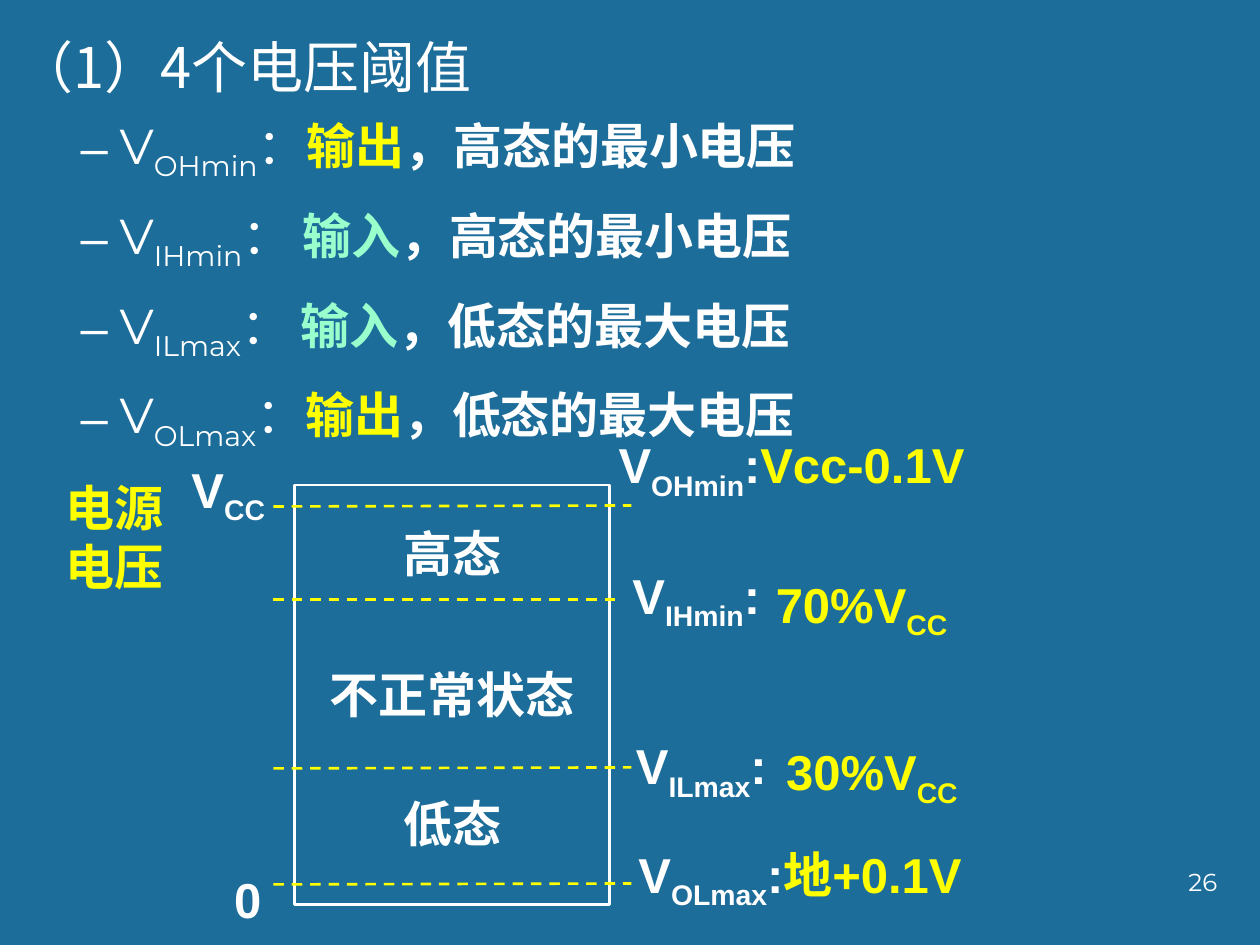
from lxml import etree
from pptx import Presentation
from pptx.dml.color import RGBColor
from pptx.enum import dml, shapes, text
from pptx.oxml import ns
from pptx.util import Cm, Pt

COLORS = {"back": "1C6D9A", "white": "FFFFFF", "yellow": "FFFF00", "mint": "99FFCC"}

THRESHOLDS = [
    ("OHmin", "：", "输出", "yellow", "，高态的最小电压"),
    ("IHmin", "： ", "输入", "mint", "，高态的最小电压"),
    ("ILmax", "： ", "输入", "mint", "，低态的最大电压"),
    ("OLmax", "：", "输出", "yellow", "，低态的最大电压"),
]

STATES = [("高态", 0), ("不正常状态", 46.6), ("低态", 39.7)]

LEVELS = [
    (10.21, 10.19, 12.73),
    (12.09, 12.09, 12.5),
    (15.49, 15.47, 12.73),
    (17.83, 17.81, 12.73),
]

LABELS = [
    (3.61, 9.14, 2.97, "white", "V", "CC", "", ""),
    (4.47, 17.4, 1.27, "white", "0", "", "", ""),
    (12.22, 8.64, 9.6, "white", "V", "OHmin", ":", "Vcc-0.1V"),
    (12.5, 11.28, 3.35, "white", "V", "IHmin", ":", ""),
    (12.57, 14.71, 3.43, "white", "V", "ILmax", ":", ""),
    (12.62, 16.89, 8.15, "white", "V", "OLmax", ":", "地+0.1V"),
    (15.39, 11.46, 5.92, "yellow", "70%V", "CC", "", ""),
    (15.6, 14.83, 6.15, "yellow", "30%V", "CC", "", ""),
]


def rgb(name):
    return RGBColor.from_string(COLORS[name])


def style(paragraph, face, size, color="white", bold=False):
    font = paragraph.font
    font.name, font.size, font.bold = face, Pt(size), bold
    font.color.rgb = rgb(color)


def add_run(paragraph, words, color=None, bold=None, subscript=False):
    run = paragraph.add_run()
    run.text = words
    if color:
        run.font.color.rgb = rgb(color)
    if bold is not None:
        run.font.bold = bold
    if subscript:
        run.font._element.set("baseline", "-25000")


def place(placeholder, left, top, width, height):
    placeholder.left, placeholder.top = Cm(left), Cm(top)
    placeholder.width, placeholder.height = Cm(width), Cm(height)
    frame = placeholder.text_frame
    frame.auto_size = text.MSO_AUTO_SIZE.NONE
    frame.vertical_anchor = text.MSO_ANCHOR.TOP
    return frame


def add_text_frame(slide, left, top, width, height=1.45, wrap=True):
    box = slide.shapes.add_textbox(Cm(left), Cm(top), Cm(width), Cm(height))
    box.text_frame.word_wrap = wrap
    return box.text_frame


def add_paragraph(frame, index):
    return frame.add_paragraph() if index else frame.paragraphs[0]


def fill_title(slide):
    heading = place(slide.shapes.title, 0.1, 0.25, 22.86, 1.9).paragraphs[0]
    heading.text = "（1）4个电压阈值"
    heading.alignment = text.PP_ALIGN.LEFT
    heading.line_spacing = Pt(46)
    style(heading, "Noto Sans CJK SC", 32)


def fill_list(slide):
    frame = place(slide.placeholders[1], 0.1, 1.73, 22.86, 7.6)
    for index, (subscript, colon, side, color, meaning) in enumerate(THRESHOLDS):
        item = add_paragraph(frame, index)
        item.level = 1
        item.line_spacing = Pt(51.4)
        item.space_before = Pt(0)
        properties = item._p.get_or_add_pPr()
        properties.set("marL", str(Cm(2.06)))
        properties.set("indent", str(Cm(-0.79)))
        etree.SubElement(properties, ns.qn("a:buChar")).set("char", "–")
        style(item, "Montserrat", 28)
        add_run(item, "V")
        add_run(item, subscript, subscript=True)
        add_run(item, colon)
        add_run(item, side, color, True)
        add_run(item, meaning, bold=True)


def add_state_range(slide):
    state_range = slide.shapes.add_shape(
        shapes.MSO_SHAPE.RECTANGLE, Cm(5.94), Cm(9.78), Cm(6.35), Cm(8.46))
    state_range.shadow.inherit = False
    state_range.fill.background()
    state_range.line.color.rgb = rgb("white")
    state_range.line.width = Pt(1.5)
    frame = state_range.text_frame
    frame.word_wrap = False
    frame.vertical_anchor = text.MSO_ANCHOR.TOP
    frame.margin_top = Cm(0.77)
    for index, (state, gap) in enumerate(STATES):
        line = add_paragraph(frame, index)
        line.text = state
        line.alignment = text.PP_ALIGN.CENTER
        line.line_spacing = Pt(34)
        line.space_before = Pt(gap)
        style(line, "Times New Roman", 28, bold=True)


def add_level(slide, start, end, right):
    level = slide.shapes.add_connector(
        shapes.MSO_CONNECTOR.STRAIGHT, Cm(5.51), Cm(start), Cm(right), Cm(end))
    level.line.color.rgb = rgb("yellow")
    level.line.width = Pt(1.5)
    level.line.dash_style = dml.MSO_LINE.DASH
    etree.SubElement(level._element.spPr, ns.qn("a:effectLst"))


def add_label(slide, left, top, width, color, symbol, subscript, colon, value):
    label = add_text_frame(slide, left, top, width).paragraphs[0]
    style(label, "Arial", 28, color, True)
    add_run(label, symbol)
    if subscript:
        add_run(label, subscript, subscript=True)
    if colon:
        add_run(label, colon)
    if value:
        add_run(label, value, "yellow")


def add_supply_caption(slide):
    frame = add_text_frame(slide, 1.07, 9.5, 2.51, 2.64, wrap=False)
    for index, words in enumerate(("电源", "电压")):
        line = add_paragraph(frame, index)
        line.text = words
        line.line_spacing = Pt(33.7)
        style(line, "Times New Roman", 28, "yellow", True)


def add_page_number(slide):
    number = add_text_frame(slide, 19.51, 17.35, 5.28, 1.27).paragraphs[0]
    number.text = "26"
    number.alignment = text.PP_ALIGN.RIGHT
    style(number, "Montserrat", 14)


def main():
    deck = Presentation()
    deck.slide_width, deck.slide_height = Cm(25.4), Cm(19.05)
    slide = deck.slides.add_slide(deck.slide_layouts[1])
    slide.background.fill.solid()
    slide.background.fill.fore_color.rgb = rgb("back")
    fill_title(slide)
    fill_list(slide)
    add_state_range(slide)
    for level in LEVELS:
        add_level(slide, *level)
    for label in LABELS:
        add_label(slide, *label)
    add_supply_caption(slide)
    add_page_number(slide)
    deck.save("out.pptx")


if __name__ == "__main__":
    main()
